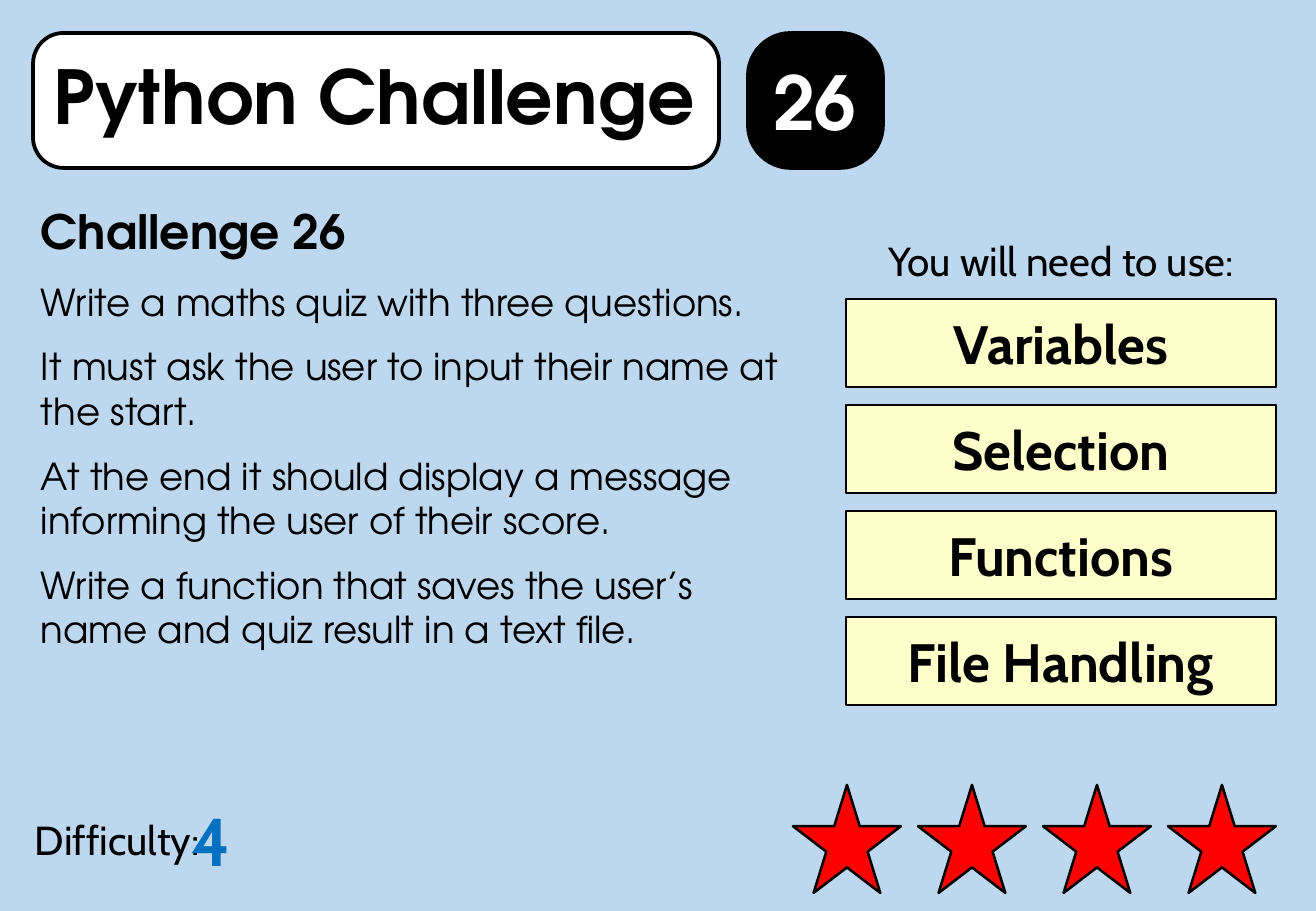
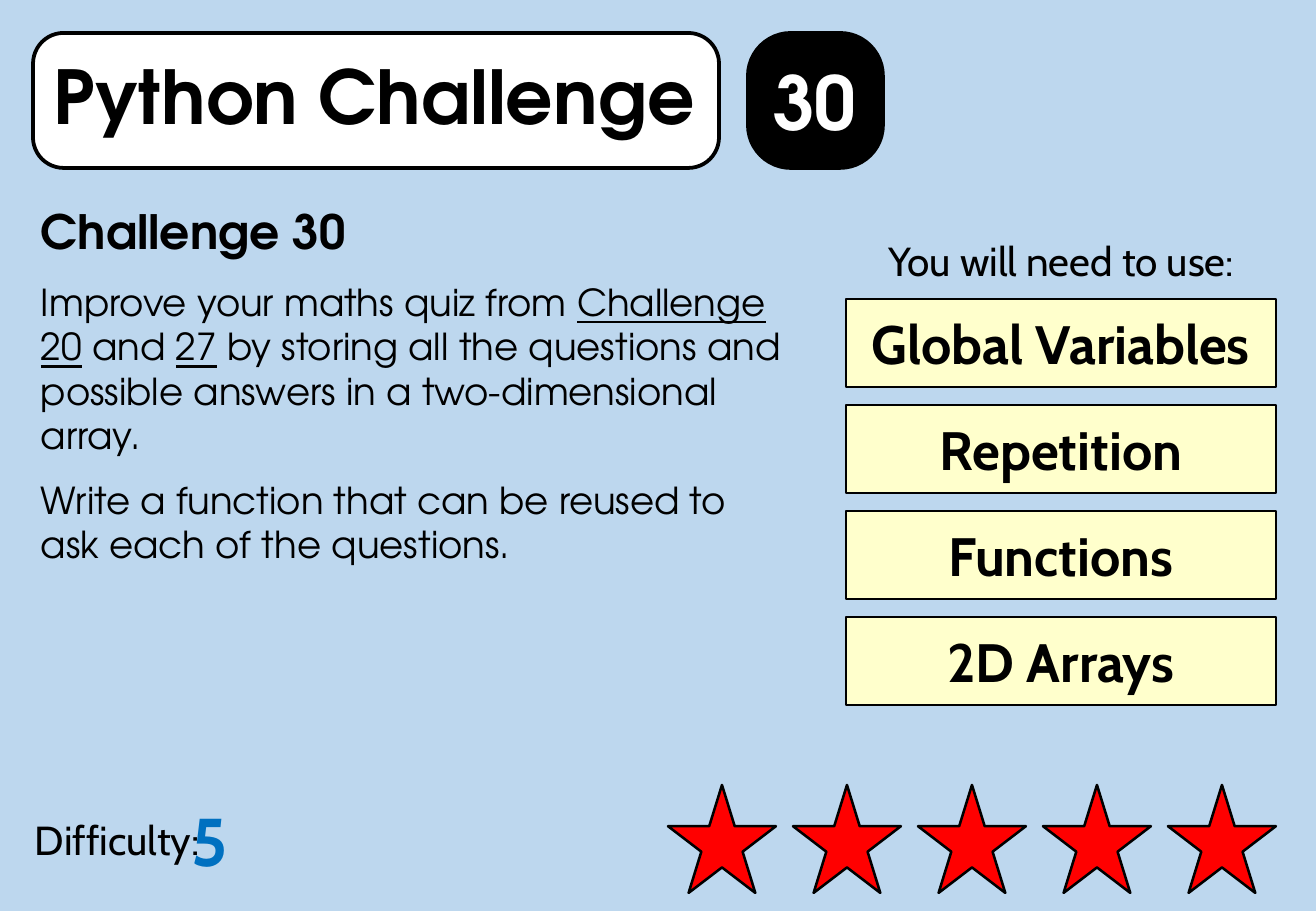
import pptx
import pptx.util
import pptx.dml.color
import pptx.enum.shapes
import pptx.enum.text

PX = 914400 / 121.5
HUES = {"sky": "BDD7EE", "white": "FFFFFF", "black": "000000",
        "cream": "FFFFCC", "red": "FF0000", "blue": "0070C0"}
HEAD, BODY = "TeX Gyre Adventor", "Cabin"
KIND = pptx.enum.shapes.MSO_SHAPE
LEFT, MID = pptx.enum.text.PP_ALIGN.LEFT, pptx.enum.text.PP_ALIGN.CENTER
TOP = pptx.enum.text.MSO_ANCHOR.TOP
CENTRE = pptx.enum.text.MSO_ANCHOR.MIDDLE


def emu(box):
    return [round(v * PX) for v in box]


def hue(name):
    return pptx.dml.color.RGBColor.from_string(HUES[name])


def style(par, font, size, bold=False, color="black", align=LEFT):
    par.alignment = align
    for run in par.runs:
        run.font.name = font
        run.font.size = pptx.util.Pt(size)
        run.font.bold = bold
        run.font.color.rgb = hue(color)


def shape(home, kind, box, fill, width=1.5, round_by=None):
    item = home.add_shape(kind, *emu(box))
    item.shadow.inherit = False
    item.fill.solid()
    item.fill.fore_color.rgb = hue(fill)
    item.line.color.rgb = hue("black")
    item.line.width = pptx.util.Pt(width)
    if round_by:
        item.adjustments[0] = round_by
    return item


def write(item, text, *look, anchor=CENTRE, wrap=True, **more):
    frame = item.text_frame
    frame.word_wrap = wrap
    frame.vertical_anchor = anchor
    frame.text = text
    style(frame.paragraphs[0], *look, **more)
    return frame


def label(home, box, text, *look, **more):
    return write(home.add_textbox(*emu(box)), text, *look, **more)


def header(home, box, number):
    x, y, w, h = box
    # Title band
    band = shape(home, KIND.ROUNDED_RECTANGLE, (x, y, w - h - 29, h),
                 "white", 2.25, 0.227)
    frame = write(band, "Python Challenge", HEAD, 44, True)
    frame.paragraphs[0].line_spacing = 0.9
    # Number badge
    left = x + w - h
    shape(home, KIND.ROUNDED_RECTANGLE, (left, y, h, h), "black", 2.25, 0.318)
    label(home, (left + 13, y + 17, h - 27, h - 33), number, HEAD, 44, True,
          "white", align=MID, wrap=False)


def task(home, box, number, paras):
    frame = label(home, box, "Challenge " + number, HEAD, 28, True, anchor=TOP)
    for text in paras:
        par = frame.add_paragraph()
        par.space_before = pptx.util.Pt(12)
        # Words between underscores are underlined
        for i, part in enumerate(text.split("_")):
            run = par.add_run()
            run.text = part
            run.font.underline = i % 2 == 1
        style(par, HEAD, 22)


def skills(home, box, names):
    x, y, w, h = box
    group = home.add_group_shape().shapes
    label(group, (x, y, w, 77), "You will need to use:", BODY, 24, align=MID)
    # Evenly spaced cards down to the foot of the box
    high, first = 88, 77
    step = (h - first - high) / (len(names) - 1)
    for i, name in enumerate(names):
        card = shape(group, KIND.RECTANGLE,
                     (x, y + first + i * step, w, high), "cream")
        write(card, name, BODY, 32, True, align=MID)


def rating(home, box, level):
    x, y, w, h = box
    # Difficulty label and value
    label(home, (x, y + 16, 366, 77), "Difficulty:", BODY, 24)
    label(home, (x + 157, y + 16, 125, 77), str(level), BODY, 40, True, "blue")
    # Stars, from the right edge
    for i in range(level):
        shape(home, KIND.STAR_5_POINT, (x + w - h - i * 125, y, h, h), "red")


def challenge(deck, number, paras, names, level):
    home = deck.slides.add_slide(deck.slide_layouts[6]).shapes
    header(home, (33, 33, 850, 135), number)
    task(home, (29, 196, 766, 518), number, paras)
    skills(home, (846, 222, 430, 483), names)
    rating(home, (23, 785, 1253, 108), level)


deck = pptx.Presentation()
deck.slide_width, deck.slide_height = emu((1316, 911))
back = deck.slide_master.background.fill
back.solid()
back.fore_color.rgb = hue("sky")

challenge(deck, "26", [
    "Write a maths quiz with three questions.",
    "It must ask the user to input their name at the start.",
    "At the end it should display a message informing the user of their score.",
    "Write a function that saves the user’s name and quiz result in a text file.",
], ["Variables", "Selection", "Functions", "File Handling"], 4)
challenge(deck, "30", [
    "Improve your maths quiz from _Challenge 20_ and _27_ by storing all the "
    "questions and possible answers in a two-dimensional array.",
    "Write a function that can be reused to ask each of the questions.",
], ["Global Variables", "Repetition", "Functions", "2D Arrays"], 5)

deck.save("out.pptx")
